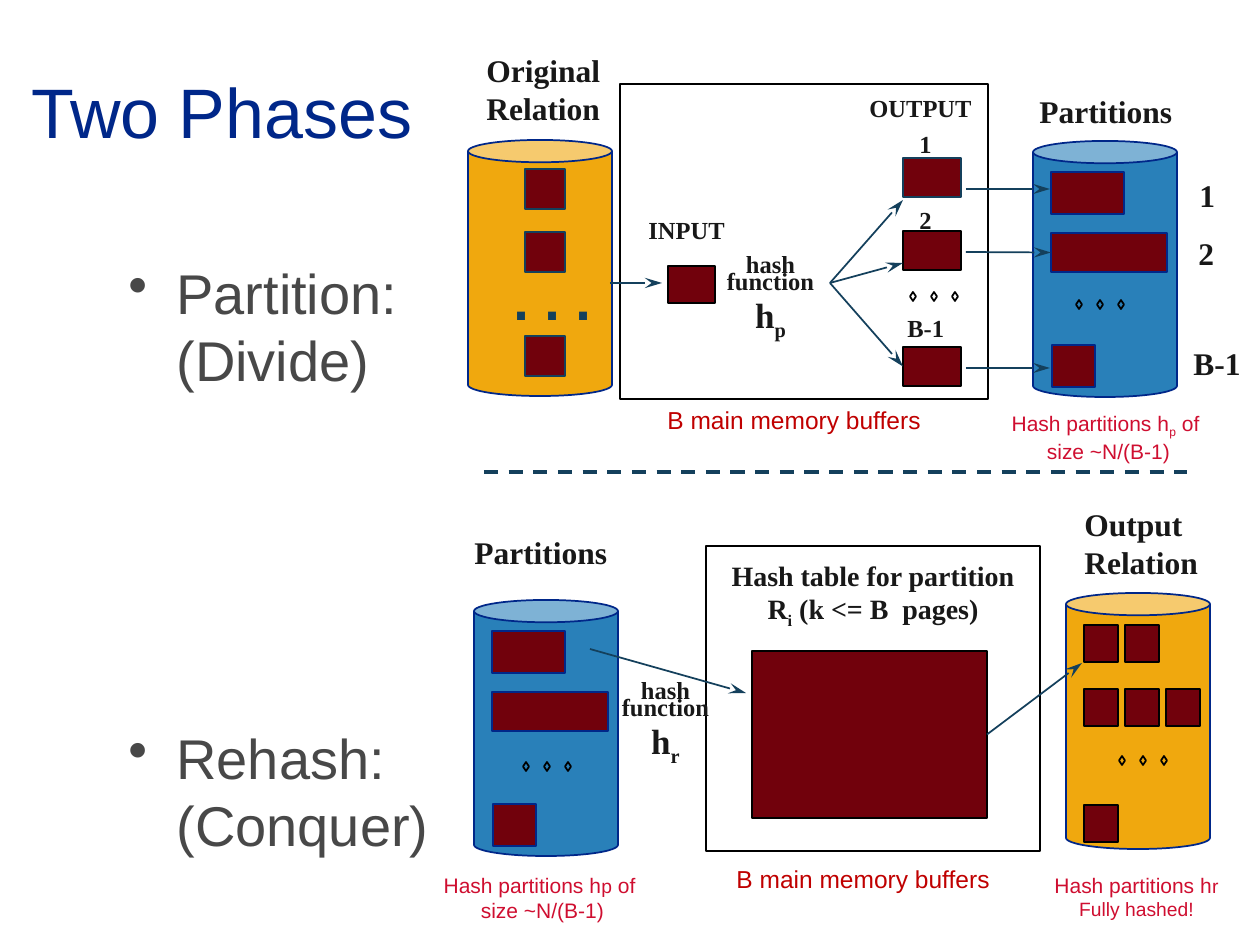
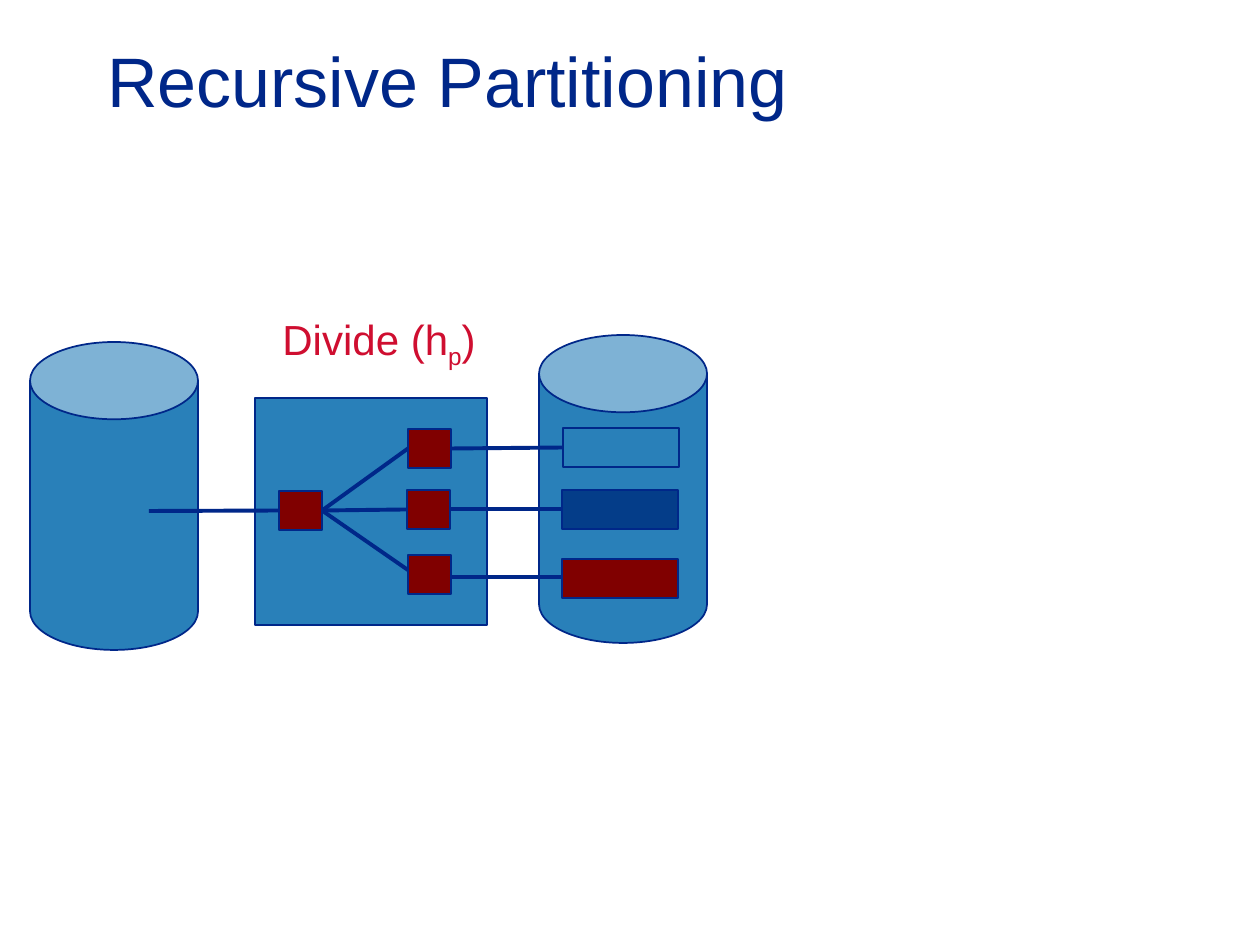
from lxml import etree
from pptx import Presentation
from pptx.dml.color import RGBColor
from pptx.enum.dml import MSO_LINE
from pptx.enum.shapes import MSO_CONNECTOR, MSO_SHAPE
from pptx.enum.text import MSO_ANCHOR, MSO_AUTO_SIZE, PP_ALIGN
from pptx.oxml.ns import qn
from pptx.util import Pt

RECT, CAN, GEM = MSO_SHAPE.RECTANGLE, MSO_SHAPE.CAN, MSO_SHAPE.DIAMOND
STRAIGHT, DASH = MSO_CONNECTOR.STRAIGHT, MSO_LINE.DASH
LEFT, MID = PP_ALIGN.LEFT, PP_ALIGN.CENTER
WEST, EAST = 1, 3  # connection sites of a rectangle
EMU = 914400 / 126  # one px

SERIF, SANS = "Times New Roman", "Arial"
THEME = {
    "ink": {
        "navy": "002789", "blue": "2980B9", "gold": "F0A80E", "wine": "71010C",
        "red": "800000", "deep": "043D89", "teal": "14405C", "black": "000000",
        "text": "181818", "grey": "484848", "rose": "CF0E30", "brick": "C00000",
    },
    # style: font, size, bold, colour
    "type": {
        "title": (SANS, 40, False, "navy"),
        "body": (SANS, 32, False, "grey"),
        "head": (SERIF, 18, True, "text"),
        "table": (SERIF, 16, True, "text"),
        "tag": (SERIF, 14, True, "text"),
        "note": (SANS, 12, False, "rose"),
        "memo": (SANS, 14, False, "brick"),
        "dots": (SANS, 32, True, "teal"),
        "phase": (SANS, 24, False, "rose"),
    },
}

# Text pieces: a line is a string or a list of (text, format) runs
SUB, BIG, SMALL = {"sub": True}, {"size": Pt(20)}, {"size": Pt(11)}


def hash_fn(key):
    return ["hash", "function", [("h", BIG), (key, {**BIG, **SUB})]]


MEMORY = ["B main memory buffers"]

# Slide 1: two phases
DIVIDE, REHASH = (1033, 141), (474, 600)  # corners of the partition cans
SLOTS = [(18, 31, 73, 42), (18, 92, 116, 39), (19, 204, 43, 42)]
PILES = [(625, 2), (689, 3), (805, 1)]  # top, pages in the row
GEMS = [(523, 762), (1119, 756), (910, 292), (1076, 300)]

# name, kind, box, fill, line
PHASES = [
    ("", CAN, (468, 140, 144, 256), "gold", "navy"),
    ("", CAN, (*DIVIDE, 144, 256), "blue", "navy"),
    ("", CAN, (*REHASH, 144, 256), "blue", "navy"),
    ("", CAN, (1066, 593, 144, 256), "gold", "navy"),
    ("", RECT, (620, 84, 368, 315), None, "black"),
    ("", RECT, (706, 546, 334, 305), None, "black"),
    ("", RECT, (668, 266, 47, 37), "wine", "black"),
    ("", RECT, (903, 158, 58, 39), "wine", "teal"),
    ("", RECT, (903, 231, 58, 39), "wine", "black"),
    ("last", RECT, (903, 347, 58, 39), "wine", "black"),
    ("table", RECT, (752, 651, 235, 167), "wine", "black"),
]
PHASES += [("", RECT, (525, y, 40, 40), "wine", "teal") for y in (169, 232, 336)]
PHASES += [
    (f"{tag}{n}", RECT, (x + dx, y + dy, w, h), "wine", "navy")
    for tag, (x, y) in (("divide", DIVIDE), ("rehash", REHASH))
    for n, (dx, dy, w, h) in enumerate(SLOTS, 1)
]
PHASES += [
    ("", RECT, (1084 + 41 * n, y, 34, 37), "wine", "black")
    for y, count in PILES for n in range(count)
]
PHASES += [
    ("", GEM, (x + 21 * n, y, 6, 9), None, "black")
    for x, y in GEMS for n in range(3)
]

# box, style, alignment, lines
PHASE_TEXT = [
    ((474, 45, 147, 88), "head", LEFT, ["Original", "Relation"]),
    ((1027, 86, 159, 50), "head", LEFT, ["Partitions"]),
    ((1187, 170, 42, 50), "head", LEFT, ["1"]),
    ((1186, 228, 42, 50), "head", LEFT, ["2"]),
    ((1181, 338, 73, 50), "head", LEFT, ["B-1"]),
    ((857, 87, 129, 43), "tag", LEFT, ["OUTPUT"]),
    ((907, 123, 38, 43), "tag", LEFT, ["1"]),
    ((907, 199, 38, 43), "tag", LEFT, ["2"]),
    ((895, 307, 63, 43), "tag", LEFT, ["B-1"]),
    ((636, 209, 103, 43), "tag", LEFT, ["INPUT"]),
    ((714, 243, 113, 100), "tag", MID, hash_fn("p")),
    ((501, 258, 105, 81), "dots", LEFT, [". . ."]),
    ((655, 399, 284, 43), "memo", LEFT, MEMORY),
    ((994, 404, 229, 63), "note", MID,
     [[("Hash partitions h", {}), ("p", SUB), (" of \vsize ~N/(B-1)", {})]]),
    ((462, 527, 159, 50), "head", LEFT, ["Partitions"]),
    ((1072, 499, 140, 89), "head", LEFT, ["Output", "Relation"]),
    ((718, 552, 310, 81), "table", MID,
     ["Hash table for partition",
      [("R", {}), ("i", SUB), (" (k <= B  pages)", {})]]),
    ((609, 669, 113, 100), "tag", MID, hash_fn("r")),
    ((724, 858, 284, 43), "memo", LEFT, MEMORY),
    ((428, 866, 229, 63), "note", MID,
     [[("Hash partitions h", {}), ("p", SMALL), (" of \vsize ~N/(B-1)", {})]]),
    ((1040, 866, 193, 63), "note", MID,
     [[("Hash partitions h", {}), ("r\vFully hashed!", SMALL)]]),
]
STEPS = ["Partition:\v(Divide)", "Rehash:\v(Conquer)"]

# An end is a point or (shape name, site)
FAN = (830, 283)
ARROWS = [
    ((610, 283), (662, 283)),
    (FAN, (903, 200)), (FAN, (903, 263)), (FAN, ("last", WEST)),
    ((966, 189), (1050, 189)),
    ((966, 252), ("divide2", WEST)),
    ((966, 368), (1050, 368)),
    ((590, 649), (746, 693)),
    (("table", EAST), (1082, 663)),
]

# Slide 2: recursive partitioning
RECURSE = [
    ("", CAN, (30, 342, 168, 308), "blue", "navy"),
    ("", CAN, (539, 335, 168, 308), "blue", "navy"),
    ("", RECT, (255, 398, 232, 227), "blue", "navy"),
    ("in", RECT, (279, 491, 43, 39), "red", "navy"),
    ("out1", RECT, (408, 429, 43, 39), "red", "navy"),
    ("out2", RECT, (407, 490, 43, 39), "red", "navy"),
    ("out3", RECT, (408, 555, 43, 39), "red", "navy"),
    ("part1", RECT, (563, 428, 116, 39), None, "navy"),
    ("part2", RECT, (562, 490, 116, 39), "deep", "navy"),
    ("part3", RECT, (562, 559, 116, 39), "red", "navy"),
]
WIRES = [
    ((149, 511), ("in", WEST)),
    (("in", EAST), ("out1", WEST)),
    (("in", EAST), ("out2", WEST)),
    (("in", EAST), (408, 570)),
    (("out1", EAST), ("part1", WEST)),
    (("out2", EAST), ("part2", WEST)),
    ((450, 577), (561, 577)),
]
RECURSE_TEXT = [
    ((270, 307, 231, 63), "phase", LEFT,
     [[("Divide (h", {}), ("p", SUB), (")", {})]]),
]


def px(*vals):
    return [round(v * EMU) for v in vals]


def ink(name):
    return RGBColor.from_string(THEME["ink"][name])


def add_run(par, text, style, fmt):
    """Write one run; a vertical tab breaks the line."""
    face, size, bold, tint = THEME["type"][style]
    look = {"name": face, "size": Pt(size), "bold": bold, **fmt}
    sub = look.pop("sub", False)
    for n, part in enumerate(text.split("\v")):
        if n:
            par.add_line_break()
        run = par.add_run()
        run.text = part
        for key, val in look.items():
            setattr(run.font, key, val)
        run.font.color.rgb = ink(tint)
        if sub:
            run._r.get_or_add_rPr().set("baseline", "-25000")


def add_text(slide, box, style, align, lines, wrap=False):
    shape = slide.shapes.add_textbox(*px(*box))
    frame = shape.text_frame
    frame.word_wrap = wrap
    frame.auto_size = MSO_AUTO_SIZE.NONE if wrap else MSO_AUTO_SIZE.SHAPE_TO_FIT_TEXT
    for n, line in enumerate(lines):
        par = frame.add_paragraph() if n else frame.paragraphs[0]
        par.alignment = align
        if line == "function":
            par.line_spacing = 0.5
        for text, fmt in [(line, {})] if isinstance(line, str) else line:
            add_run(par, text, style, fmt)
    return frame


def add_title(slide, text, x, y):
    frame = add_text(slide, (x, y, 1071, 158), "title", LEFT, [text], True)
    frame.vertical_anchor = MSO_ANCHOR.MIDDLE


def add_steps(slide):
    frame = add_text(slide, (116, 252, 357, 630), "body", LEFT, STEPS, True)
    frame.paragraphs[1].space_before = Pt(189)
    for par in frame.paragraphs:
        props = par._p.get_or_add_pPr()
        props.set("marL", str(px(48)[0]))
        props.set("indent", str(px(-48)[0]))
        etree.SubElement(props, qn("a:buChar")).set("char", "•")


def add_shapes(slide, rows, depth):
    """Draw the rows and return the named shapes."""
    named = {}
    for name, kind, box, fill, line in rows:
        shape = slide.shapes.add_shape(kind, *px(*box))
        shape.shadow.inherit = False
        if kind == CAN:
            shape.adjustments[0] = depth
        if fill:
            shape.fill.solid()
            shape.fill.fore_color.rgb = ink(fill)
        else:
            shape.fill.background()
        shape.line.color.rgb = ink(line)
        shape.line.width = Pt(1)
        if name:
            named[name] = shape
    return named


def add_line(slide, ends, named, tint, width, arrow=False):
    spots = [(0, 0) if isinstance(end[0], str) else end for end in ends]
    wire = slide.shapes.add_connector(STRAIGHT, *px(*spots[0], *spots[1]))
    for end, join in zip(ends, (wire.begin_connect, wire.end_connect)):
        if isinstance(end[0], str):
            join(named[end[0]], end[1])
    wire.line.color.rgb = ink(tint)
    wire.line.width = Pt(width)
    if arrow:
        tail = etree.SubElement(wire.line._get_or_add_ln(), qn("a:tailEnd"))
        tail.set("type", "stealth")
        tail.set("w", "med")
        tail.set("len", "lg")
    etree.SubElement(wire._element.spPr, qn("a:effectLst"))
    return wire


def add_slide(deck, title, spot, rows, depth, texts):
    slide = deck.slides.add_slide(deck.slide_layouts[6])
    add_title(slide, title, *spot)
    named = add_shapes(slide, rows, depth)
    for row in texts:
        add_text(slide, *row)
    return slide, named


def main():
    deck = Presentation()
    deck.slide_width, deck.slide_height = px(1260, 945)

    slide, named = add_slide(deck, "Two Phases", (19, 32), PHASES, 0.155, PHASE_TEXT)
    add_steps(slide)
    for ends in ARROWS:
        add_line(slide, ends, named, "teal", 1, True)
    rule = add_line(slide, ((484, 472), (1187, 472)), named, "teal", 2)
    rule.line.dash_style = DASH

    slide, named = add_slide(
        deck, "Recursive Partitioning", (95, 0), RECURSE, 0.46, RECURSE_TEXT)
    for ends in WIRES:
        add_line(slide, ends, named, "navy", 2.25)

    deck.save("out.pptx")


if __name__ == "__main__":
    main()
